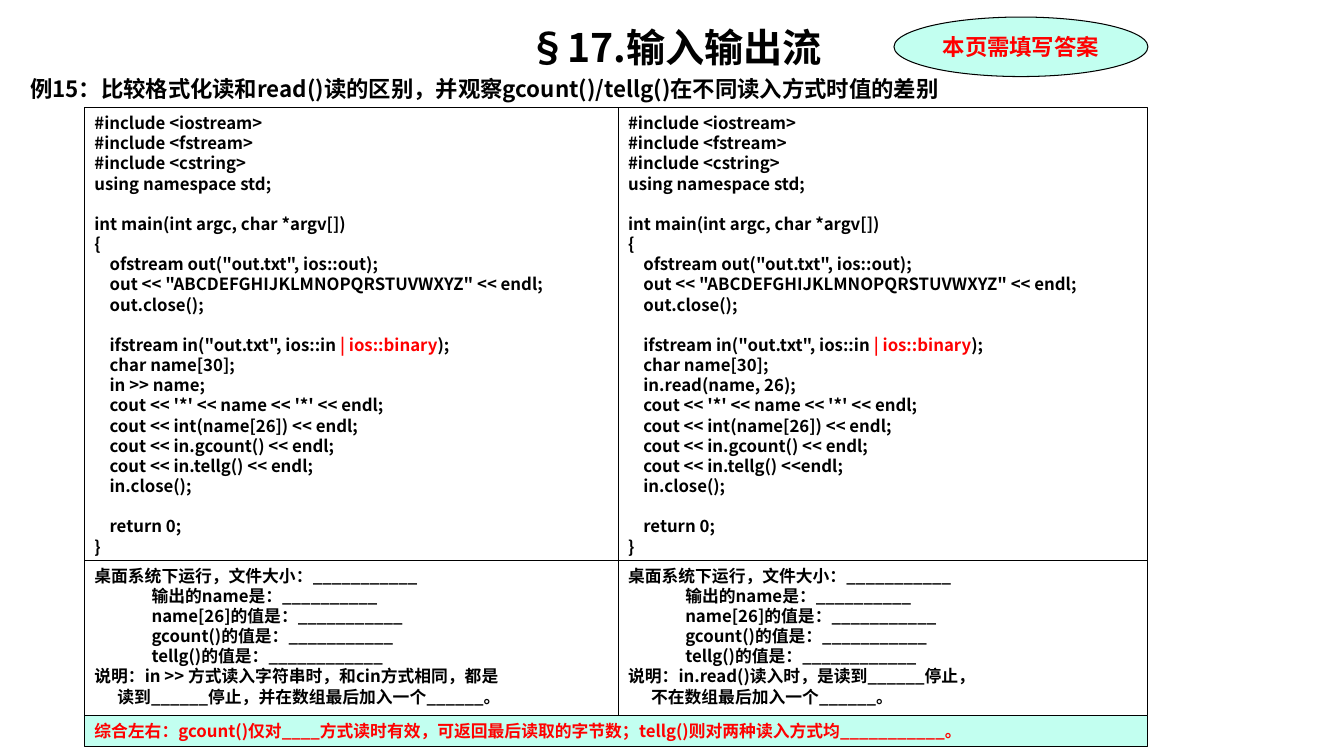
from lxml.etree import SubElement
from pptx import Presentation
from pptx.dml.color import RGBColor
from pptx.enum.shapes import MSO_SHAPE
from pptx.enum.text import MSO_ANCHOR, PP_ALIGN
from pptx.oxml.ns import qn
from pptx.util import Cm, Pt

SANS, SERIF = "Noto Sans CJK SC", "Times New Roman"
BLACK = RGBColor(0, 0, 0)
RED = RGBColor(0xFF, 0, 0)
MINT = RGBColor(0xC2, 0xFF, 0xF0)

TITLE = "§17.输入输出流"
EXAMPLE = "例15：比较格式化读和read()读的区别，并观察gcount()/tellg()在不同读入方式时值的差别"
REMINDER = "本页需填写答案"
SUMMARY = "综合左右：gcount()仅对____方式读时有效，可返回最后读取的字节数；tellg()则对两种读入方式均___________。"

HIGHLIGHT = " | ios::binary"
CODE = """#include <iostream>
#include <fstream>
#include <cstring>
using namespace std;

int main(int argc, char *argv[])
{
    ofstream out("out.txt", ios::out);
    out << "ABCDEFGHIJKLMNOPQRSTUVWXYZ" << endl;
    out.close();

    ifstream in("out.txt", ios::in | ios::binary);
    char name[30];
    READ_NAME
    cout << '*' << name << '*' << endl;
    cout << int(name[26]) << endl;
    cout << in.gcount() << endl;
    cout << in.tellg() SHOW_END
    in.close();

    return 0;
}"""

# (text, left indent in cm)
QUESTIONS = [
    ("桌面系统下运行，文件大小：___________", 0),
    ("输出的name是：__________", 1.44),
    ("name[26]的值是：___________", 1.44),
    ("gcount()的值是：___________", 1.44),
    ("tellg()的值是：____________", 1.44),
]
PROGRAMS = [
    {"read": "in >> name;", "end": "<< endl;",
     "remarks": [("说明：in >> 方式读入字符串时，和cin方式相同，都是", 0),
                 ("读到______停止，并在数组最后加入一个______。", 0.58)]},
    {"read": "in.read(name, 26);", "end": "<<endl;",
     "remarks": [("说明：in.read()读入时，是读到______停止，", 0),
                 ("不在数组最后加入一个______。", 0.58)]},
]

COLUMN_EDGES = (2.13, 15.58, 28.93)
ROW_EDGES = (2.72, 14.12, 18.03, 18.82)
LINE_RATIO = 1.2


def add_text(paragraph, text, size=12, color=BLACK, font=SANS, indent=0, **layout):
    """Fill a paragraph, showing the highlighted code fragment in red."""
    paragraph.line_spacing = Pt(size * LINE_RATIO)
    for name, value in layout.items():
        setattr(paragraph, name, value)
    if indent:
        properties = paragraph._p.get_or_add_pPr()
        properties.set("marL", str(Cm(indent)))
        properties.set("indent", "0")
    for part in text.partition(HIGHLIGHT):
        if not part:
            continue
        run = paragraph.add_run()
        run.text = part
        run.font.color.rgb = RED if part == HIGHLIGHT else color
        for name, value in {"name": font, "size": Pt(size), "bold": True}.items():
            setattr(run.font, name, value)
        if font == SANS:
            SubElement(run._r.get_or_add_rPr(), qn("a:ea"), typeface=font)


def next_paragraph(frame):
    first = frame.paragraphs[0]
    return frame.add_paragraph() if first.runs else first


def add_panel(slide, preset, left, top, right, bottom, fill=None, anchor=MSO_ANCHOR.TOP):
    """Add an outlined shape between the given edges and return its text frame."""
    panel = slide.shapes.add_shape(preset, Cm(left), Cm(top), Cm(right - left), Cm(bottom - top))
    panel.shadow.inherit = False
    if fill is None:
        panel.fill.background()
    else:
        panel.fill.solid()
        panel.fill.fore_color.rgb = fill
    panel.line.color.rgb = BLACK
    panel.line.width = Pt(0.75)
    panel.text_frame.word_wrap = True
    panel.text_frame.vertical_anchor = anchor
    return panel.text_frame


def add_code(frame, code):
    gap = 0
    for line in code.splitlines():
        if not line:
            gap += 12 * LINE_RATIO
            continue
        add_text(next_paragraph(frame), line, alignment=PP_ALIGN.LEFT, space_before=Pt(gap))
        gap = 0


def main():
    deck = Presentation()
    deck.slide_width, deck.slide_height = Cm(33.87), Cm(19.05)
    slide = deck.slides.add_slide(deck.slide_layouts[6])

    heading = slide.shapes.add_textbox(Cm(0.51), Cm(0.46), Cm(33), Cm(2.2)).text_frame
    heading.word_wrap = True
    add_text(next_paragraph(heading), TITLE, 28, alignment=PP_ALIGN.CENTER)
    add_text(next_paragraph(heading), EXAMPLE, 16, space_before=Pt(3.2))

    reminder = add_panel(slide, MSO_SHAPE.OVAL, 22.53, 0.43, 28.93, 1.93, MINT, MSO_ANCHOR.MIDDLE)
    add_text(next_paragraph(reminder), REMINDER, 16, RED, SERIF, alignment=PP_ALIGN.CENTER)

    code_top, answer_top, summary_top, bottom = ROW_EDGES
    for program, left, right in zip(PROGRAMS, COLUMN_EDGES, COLUMN_EDGES[1:]):
        code = CODE.replace("READ_NAME", program["read"]).replace("SHOW_END", program["end"])
        add_code(add_panel(slide, MSO_SHAPE.RECTANGLE, left, code_top, right, answer_top), code)
        answers = add_panel(slide, MSO_SHAPE.RECTANGLE, left, answer_top, right, summary_top)
        for text, indent in QUESTIONS + program["remarks"]:
            add_text(next_paragraph(answers), text, indent=indent, alignment=PP_ALIGN.LEFT)

    summary = add_panel(slide, MSO_SHAPE.RECTANGLE, COLUMN_EDGES[0], summary_top,
                        COLUMN_EDGES[-1], bottom, MINT, MSO_ANCHOR.MIDDLE)
    add_text(next_paragraph(summary), SUMMARY, color=RED, alignment=PP_ALIGN.LEFT)

    deck.save("out.pptx")


if __name__ == "__main__":
    main()
